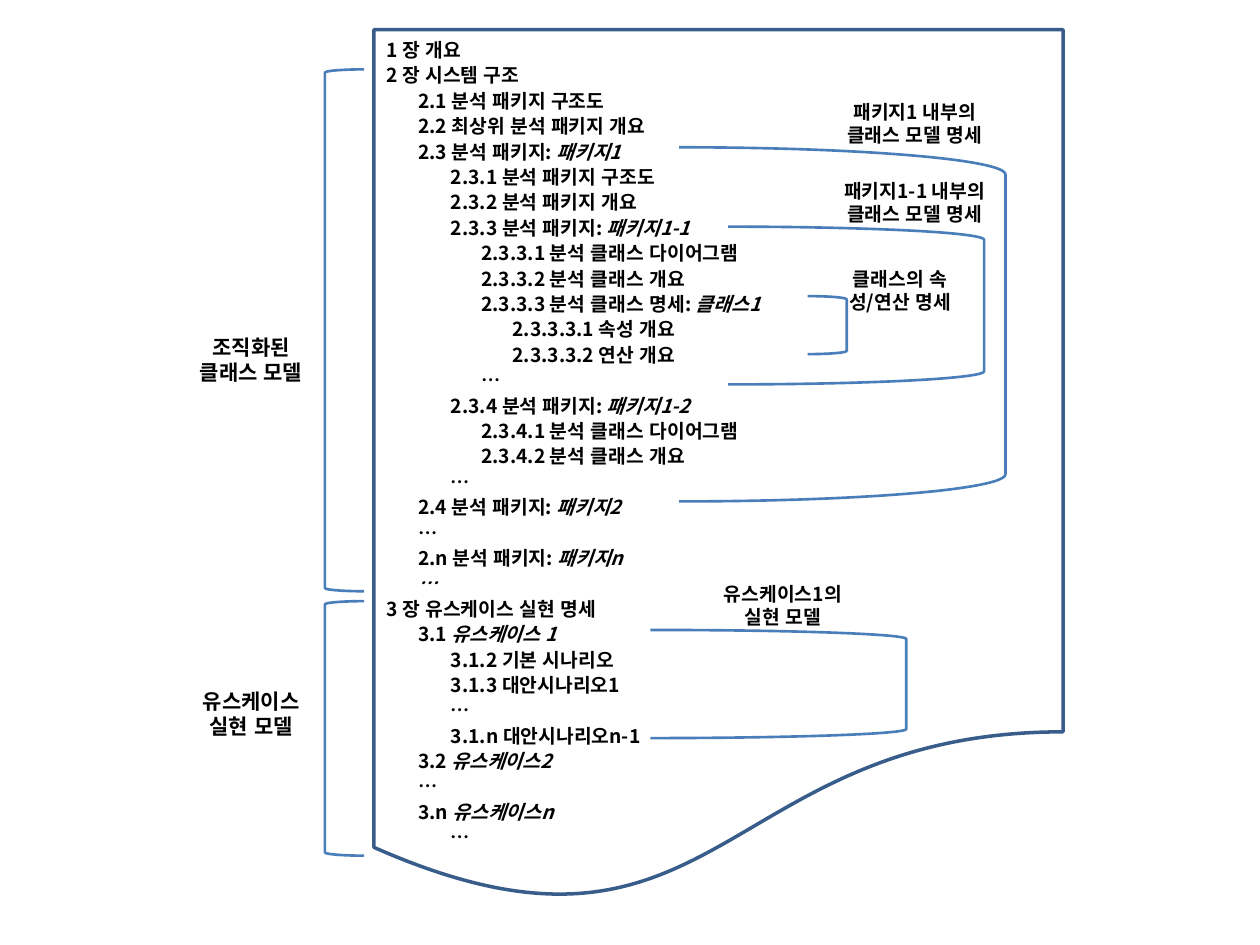
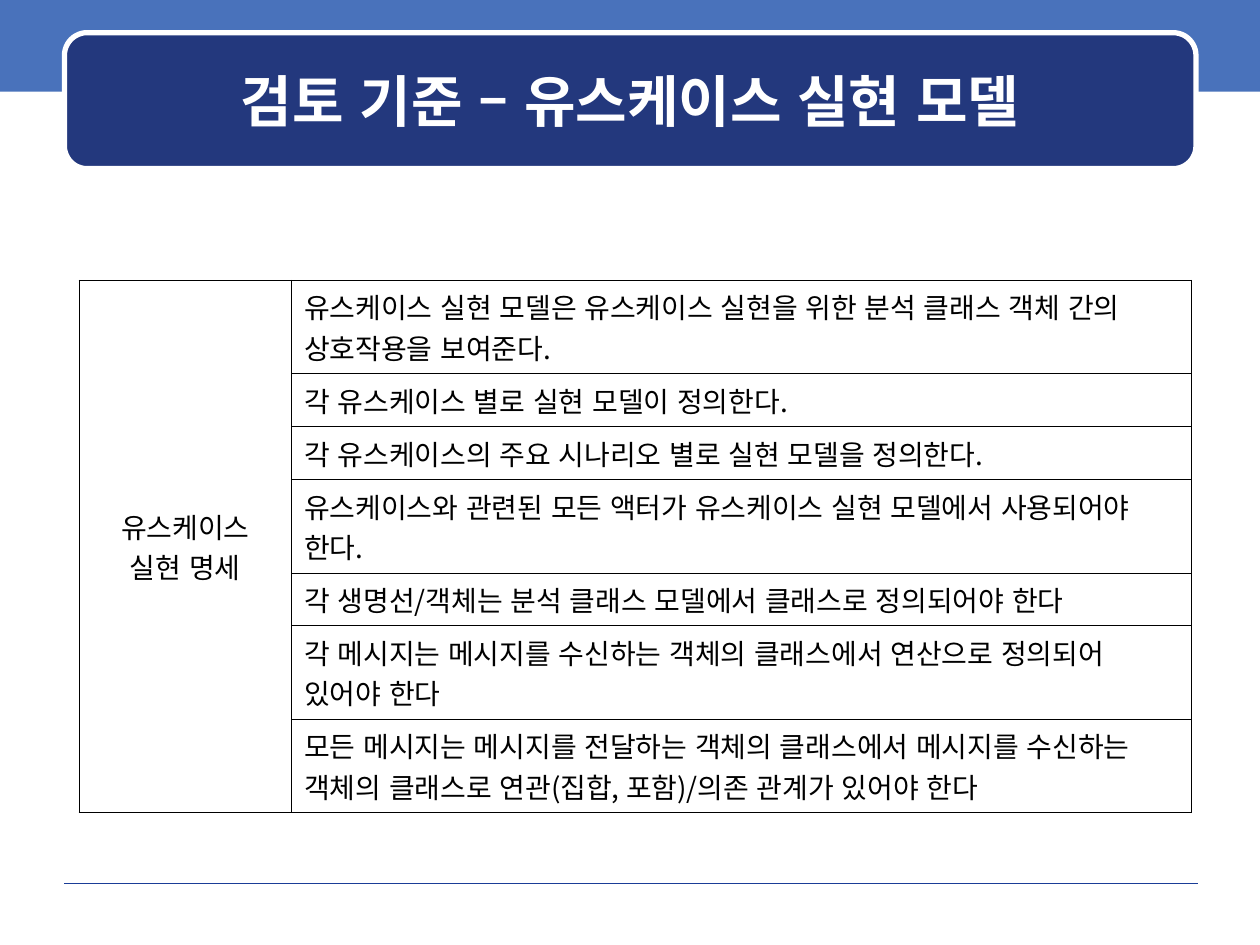
import pptx
import pptx.util
import pptx.dml.color
import pptx.enum.lang
import pptx.enum.shapes
import pptx.enum.text
import pptx.oxml
import pptx.oxml.ns
from pptx.util import Cm, Pt

KIND = pptx.enum.shapes.MSO_SHAPE
ALIGN = pptx.enum.text.PP_ALIGN
ANCHOR = pptx.enum.text.MSO_ANCHOR
KOREAN = pptx.enum.lang.MSO_LANGUAGE_ID.KOREAN
FONT = "Noto Sans CJK KR"
BLACK, WHITE = "000000", "FFFFFF"
EDGE, BRACE = "385D8A", "4A7EBB"
BAND, BANNER, RULE = "4972BB", "23387D", "1A3D97"
TABS = (0.64, 1.3, 1.91, 2.54)


def color(text):
    return pptx.dml.color.RGBColor.from_string(text)


def node(tag, parent, **attrs):
    """Add an empty DrawingML element to a parent."""
    item = pptx.oxml.parse_xml(f"<a:{tag} {pptx.oxml.ns.nsdecls('a')}/>")
    for key, value in attrs.items():
        item.set(key, str(value))
    parent.append(item)
    return item


class Deck:
    def __init__(self):
        self.show = pptx.Presentation()
        self.show.slide_width = Cm(25.4)
        self.show.slide_height = Cm(19.05)
        self.slide = None

    def add(self, layout):
        self.slide = self.show.slides.add_slide(self.show.slide_layouts[layout])

    def style(self, para, size, bold=False, ink=BLACK, align=ALIGN.LEFT):
        para.alignment = align
        font = para.font
        font.size, font.bold, font.name = Pt(size), bold, FONT
        font.language_id = KOREAN
        font.color.rgb = color(ink)
        props = para._p.get_or_add_pPr().find(pptx.oxml.ns.qn("a:defRPr"))
        node("ea", props, typeface=FONT)

    def shape(self, kind, box, fill=None, line=None, width=1.5):
        item = self.slide.shapes.add_shape(kind, *map(Cm, box))
        item.shadow.inherit = False
        if fill:
            item.fill.solid()
            item.fill.fore_color.rgb = color(fill)
        else:
            item.fill.background()
        if line:
            item.line.color.rgb = color(line)
            item.line.width = Pt(width)
        else:
            item.line.fill.background()
        return item

    def rule(self, left, right, top):
        line = self.slide.shapes.add_connector(
            pptx.enum.shapes.MSO_CONNECTOR.STRAIGHT,
            Cm(left), Cm(top), Cm(right), Cm(top))
        line.line.color.rgb = color(RULE)
        line.line.width = Pt(0.25)
        node("effectLst", line.element.spPr)

    def label(self, text, box, size):
        frame = self.slide.shapes.add_textbox(*map(Cm, box)).text_frame
        frame.word_wrap = True
        frame.vertical_anchor = ANCHOR.MIDDLE
        frame.text = text
        for para in frame.paragraphs:
            self.style(para, size, True, align=ALIGN.CENTER)

    def outline(self, box, rows):
        """Draw the document page; each row is level, text, italic text."""
        page = self.shape(KIND.FLOWCHART_DOCUMENT, box, line=EDGE, width=2)
        frame = page.text_frame
        frame.vertical_anchor = ANCHOR.TOP
        for count, (level, plain, slant) in enumerate(rows):
            para = frame.add_paragraph() if count else frame.paragraphs[0]
            para.line_spacing = 1.1
            stops = node("tabLst", para._p.get_or_add_pPr())
            for stop in TABS:
                node("tab", stops, pos=int(Cm(stop)), algn="l")
            self.style(para, 11, True)
            para.add_run().text = "\t" * level + plain
            if slant:
                run = para.add_run()
                run.text = slant
                run.font.italic = True

    def title(self, text, box):
        item = self.slide.shapes.title
        item.left, item.top, item.width, item.height = map(Cm, box)
        self.slide.shapes.element.append(item.element)  # above the banner
        frame = item.text_frame
        frame.text = text
        frame.vertical_anchor = ANCHOR.MIDDLE
        self.style(frame.paragraphs[0], 32, True, WHITE, ALIGN.CENTER)

    def cell(self, cell, text, align):
        cell.text = text
        cell.vertical_anchor = ANCHOR.MIDDLE
        self.style(cell.text_frame.paragraphs[0], 16, align=align)

    def table(self, box, widths, head, rows):
        """Fill a table whose first column is one merged heading."""
        grid = self.slide.shapes.add_table(len(rows), 2, *map(Cm, box)).table
        grid.first_row = grid.horz_banding = False
        for col, width in zip(grid.columns, widths):
            col.width = Cm(width)
        for cell in grid.iter_cells():
            props = cell._tc.get_or_add_tcPr()
            for side in "LRTB":
                line = node(f"ln{side}", props, w=int(Pt(0.45)))
                node("srgbClr", node("solidFill", line), val=BLACK)
            cell.fill.background()
        grid.cell(0, 0).merge(grid.cell(len(rows) - 1, 0))
        self.cell(grid.cell(0, 0), head, ALIGN.CENTER)
        for count, (height, text) in enumerate(rows):
            grid.rows[count].height = Cm(height)
            cell = grid.cell(count, 1)
            self.cell(cell, text, ALIGN.LEFT)
            cell.margin_right = Cm(0.85)  # wraps lines clear of the border


def draw_spec(deck):
    deck.add(6)
    deck.outline((7.54, 0.6, 13.89, 17.65), [
        (0, "1 장 개요", ""),
        (0, "2 장 시스템 구조", ""),
        (1, "2.1 분석 패키지 구조도", ""),
        (1, "2.2 최상위 분석 패키지 개요", ""),
        (1, "2.3 분석 패키지: ", "패키지1"),
        (2, "2.3.1 분석 패키지 구조도", ""),
        (2, "2.3.2 분석 패키지 개요", ""),
        (2, "2.3.3 분석 패키지: ", "패키지1-1"),
        (3, "2.3.3.1 분석 클래스 다이어그램", ""),
        (3, "2.3.3.2 분석 클래스 개요", ""),
        (3, "2.3.3.3 분석 클래스 명세: ", "클래스1"),
        (4, "2.3.3.3.1 속성 개요", ""),
        (4, "2.3.3.3.2 연산 개요", ""),
        (3, "…", ""),
        (2, "2.3.4 분석 패키지: ", "패키지1-2"),
        (3, "2.3.4.1 분석 클래스 다이어그램", ""),
        (3, "2.3.4.2 분석 클래스 개요", ""),
        (2, "…", ""),
        (1, "2.4 분석 패키지: ", "패키지2"),
        (1, "…", ""),
        (1, "2.n 분석 패키지: ", "패키지n"),
        (1, "", "…"),
        (0, "3 장 유스케이스 실현 명세", ""),
        (1, "3.1 ", "유스케이스 1"),
        (2, "3.1.2 기본 시나리오", ""),
        (2, "3.1.3 대안시나리오1", ""),
        (2, "…", ""),
        (2, "3.1.n 대안시나리오n-1", ""),
        (1, "3.2 ", "유스케이스2"),
        (1, "…", ""),
        (1, "3.n ", "유스케이스n"),
        (2, "…", ""),
    ])
    left, right = KIND.LEFT_BRACKET, KIND.RIGHT_BRACKET
    # bracket kind and box, then label text, left, top, width and size
    for kind, box, text, x, y, width, size in [
        (left, (6.55, 1.4, 0.79, 10.52),
         "조직화된\n클래스 모델", 3.58, 6.55, 2.97, 12),
        (left, (6.55, 12.12, 0.79, 5.13),
         "유스케이스\n실현 모델", 3.58, 13.69, 2.97, 12),
        (right, (16.28, 5.97, 0.79, 1.17),
         "클래스의 속성/연산 명세", 16.66, 5.16, 2.97, 11),
        (right, (14.68, 4.57, 5.16, 3.18),
         "패키지1-1 내부의\n클래스 모델 명세", 16.46, 3.38, 3.96, 11),
        (right, (13.69, 2.97, 6.58, 7.14),
         "패키지1 내부의\n클래스 모델 명세", 16.46, 1.78, 3.96, 11),
        (right, (13.11, 12.7, 5.16, 2.18),
         "유스케이스1의 실현 모델", 14.3, 11.51, 2.97, 11),
    ]:
        deck.shape(kind, box, line=BRACE)
        deck.label(text, (x, y, width, 1.4), size)


def draw_check(deck):
    deck.add(5)
    deck.shape(KIND.RECTANGLE, (0, 0, 25.4, 1.85), BAND)
    deck.rule(1.3, 24.16, 17.81)
    deck.shape(KIND.ROUNDED_RECTANGLE, (1.3, 0.66, 22.81, 2.74),
               BANNER, WHITE, 3)
    deck.title("검토 기준 – 유스케이스 실현 모델", (1.52, 0.89, 22.38, 2.24))
    one, two = 0.94, 1.63  # heights of rows with one and two lines
    deck.table((1.59, 5.65, 22.43, 9.22), (4.29, 18.14), "유스케이스 실현 명세", [
        (two, "유스케이스 실현 모델은 유스케이스 실현을 위한 분석 클래스 객체 간의 "
              "상호작용을 보여준다."),
        (one, "각 유스케이스 별로 실현 모델이 정의한다."),
        (one, "각 유스케이스의 주요 시나리오 별로 실현 모델을 정의한다."),
        (two, "유스케이스와 관련된 모든 액터가 유스케이스 실현 모델에서 사용되어야 한다."),
        (one, "각 생명선/객체는 분석 클래스 모델에서 클래스로 정의되어야 한다"),
        (two, "각 메시지는 메시지를 수신하는 객체의 클래스에서 연산으로 정의되어 있어야 한다"),
        (two, "모든 메시지는 메시지를 전달하는 객체의 클래스에서 메시지를 수신하는 "
              "객체의 클래스로 연관(집합, 포함)/의존 관계가 있어야 한다"),
    ])


def main():
    deck = Deck()
    draw_spec(deck)
    draw_check(deck)
    deck.show.save("out.pptx")


if __name__ == "__main__":
    main()
